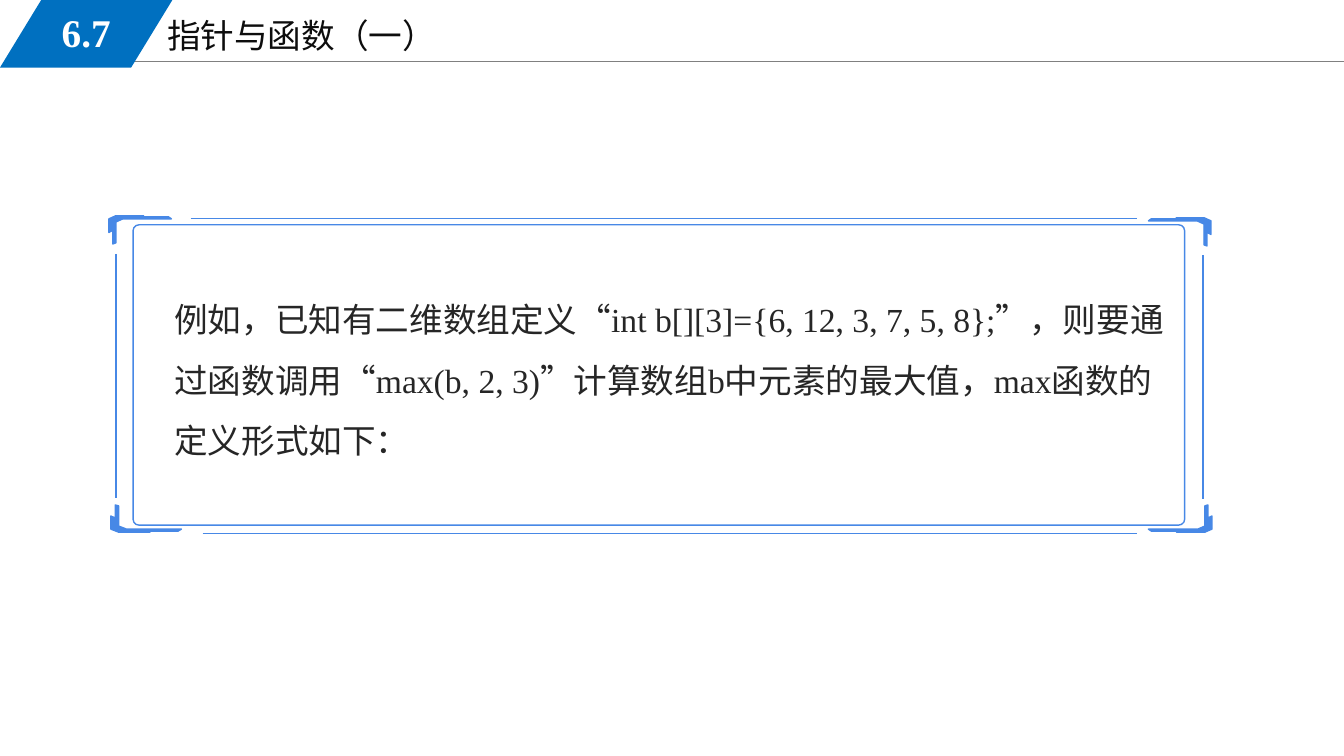
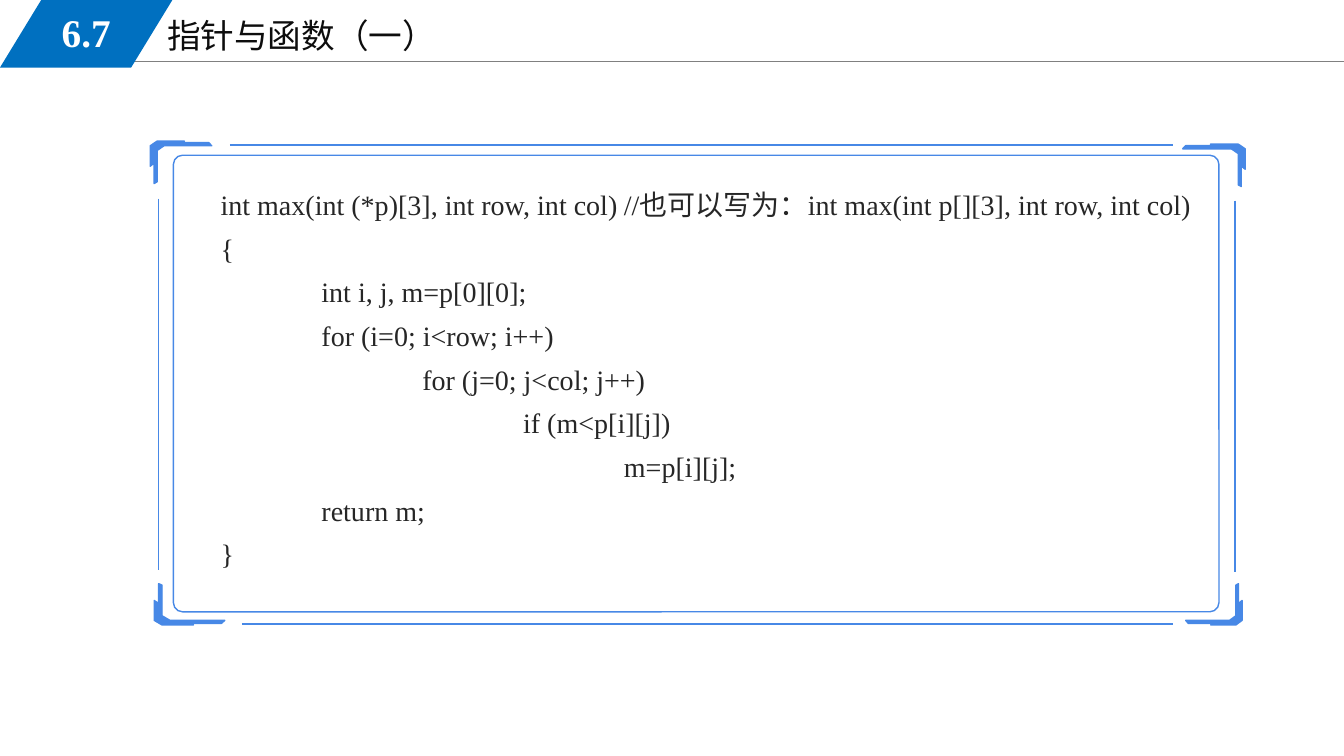
from lxml import etree
from pptx import Presentation
from pptx.dml.color import RGBColor
from pptx.enum import lang, shapes, text
from pptx.oxml.ns import qn
from pptx.util import Pt

PX = 9144  # 100 px to the inch
WHITE = RGBColor(0xFF, 0xFF, 0xFF)
GRAY = RGBColor(0x80, 0x80, 0x80)
NAVY = RGBColor(0x00, 0x70, 0xC0)
BLUE = RGBColor(0x47, 0x88, 0xE6)
BLACK = RGBColor(0x0D, 0x0D, 0x0D)
INK = RGBColor(0x26, 0x26, 0x26)
SERIF = "Times New Roman"
SANS = "Noto Sans CJK SC"

# Bottom right corner mark, on a 63 by 27 grid
CORNER = [(56, 27), (28, 27), (31, 26), (3, 26), (0, 24), (49, 24), (56, 21),
          (56, 1), (59, 0), (59, 13), (63, 11), (63, 24)]

# box: left, top, width, height; corners add flip x and flip y; lines: x1, y1, x2, y2
PAGES = [
    {
        "box": (163, 272, 1015, 192), "size": 24, "space": 1.5,
        "text": [[("例如，已知有二维数组定义“int b[][3]={6, 12, 3, 7, 5, 8};", SERIF),
                  ("”，则要通过函数调用", SANS),
                  ("“max(b, 2, 3)", SERIF),
                  ("”计算", SANS),
                  ("数组b中元素的最大值，max函数的定义形式如下：", SERIF)]],
        "frame": (132, 223, 1043, 298),
        "corners": [(1139, 501, 63, 27, False, False), (1139, 216, 62, 28, False, True),
                    (108, 214, 62, 28, True, True), (110, 501, 70, 27, True, False)],
        "lines": [(189, 217, 1128, 217), (201, 529, 1128, 529),
                  (115, 252, 115, 494), (1193, 253, 1193, 495)],
    },
    {
        "box": (209, 171, 1026, 449), "size": 20, "space": 1.3,
        "text": [[(line, SERIF)] for line in (
            "int max(int (*p)[3], int row, int col)\t//也可以写为：int max(int p[][3], int row, int col)",
            "{",
            "\tint i, j, m=p[0][0];",
            "\tfor (i=0; i<row; i++)",
            "\t\tfor (j=0; j<col; j++)",
            "\t\t\tif (m<p[i][j])",
            "\t\t\t\tm=p[i][j];",
            "\treturn m;",
            "}")],
        "frame": (172, 154, 1037, 453),
        "corners": [(1176, 579, 56, 41, False, False), (1173, 143, 62, 42, False, True),
                    (149, 140, 61, 42, True, True), (153, 579, 70, 41, True, False)],
        "lines": [(228, 144, 1163, 144), (240, 619, 1163, 619),
                  (157, 197, 157, 565), (1225, 199, 1225, 567)],
    },
]


def write(slide, box, paras, size, color):
    """Add a text box; each paragraph is a list of (text, font) runs."""
    frame = slide.shapes.add_textbox(*[n * PX for n in box]).text_frame
    frame.word_wrap = True
    for i, parts in enumerate(paras):
        para = frame.paragraphs[0] if i == 0 else frame.add_paragraph()
        para._p.get_or_add_pPr().set("defTabSz", str(100 * PX))
        for words, face in parts:
            run = para.add_run()
            run.text = words
            font = run.font
            font.name, font.size, font.color.rgb = face, Pt(size), color
            font.language_id = lang.MSO_LANGUAGE_ID.SIMPLIFIED_CHINESE
            east = etree.SubElement(font._element, qn("a:ea"))
            east.set("typeface", SANS)
    return frame


def rule(slide, ends, color, width):
    """Add a straight line without a shadow."""
    line = slide.shapes.add_connector(shapes.MSO_CONNECTOR.STRAIGHT, *[n * PX for n in ends])
    line.line.color.rgb, line.line.width = color, Pt(width)
    etree.SubElement(line._element.spPr, qn("a:effectLst"))


deck = Presentation()
deck.slide_width, deck.slide_height = 1333 * PX, 750 * PX

for page in PAGES:
    slide = deck.slides.add_slide(deck.slide_layouts[6])

    # Header
    rule(slide, (113, 61, 1333, 61), GRAY, 0.75)
    write(slide, (156, 10, 567, 172), [[("指针与函数（一）", SERIF)]], 24, BLACK)
    tab = slide.shapes.add_shape(shapes.MSO_SHAPE.PARALLELOGRAM, 0, 0, 171 * PX, 67 * PX)
    tab.adjustments[0] = 0.61
    tab.shadow.inherit = False
    tab.fill.solid()
    tab.fill.fore_color.rgb = NAVY
    tab.line.fill.background()
    mark = write(slide, (25, 3, 121, 58), [[("6.7", SERIF)]], 28, WHITE)
    mark.vertical_anchor = text.MSO_ANCHOR.MIDDLE
    mark.paragraphs[0].alignment = text.PP_ALIGN.CENTER
    mark.paragraphs[0].runs[0].font.bold = True

    # Body
    body = write(slide, page["box"], page["text"], page["size"], INK)
    for para in body.paragraphs:
        para.line_spacing = page["space"]

    # Border
    frame = slide.shapes.add_shape(shapes.MSO_SHAPE.ROUNDED_RECTANGLE,
                                   *[n * PX for n in page["frame"]])
    frame.adjustments[0] = 0.02
    frame.fill.background()
    edges = [frame]
    for left, top, wide, high, flip_x, flip_y in page["corners"]:
        dots = [((left + wide * (63 - x if flip_x else x) / 63) * PX,
                 (top + high * (27 - y if flip_y else y) / 27) * PX) for x, y in CORNER]
        pen = slide.shapes.build_freeform(*dots[0])
        pen.add_line_segments(dots[1:], close=True)
        corner = pen.convert_to_shape()
        corner.fill.solid()
        corner.fill.fore_color.rgb = BLUE
        edges.append(corner)
    for edge in edges:
        edge.shadow.inherit = False
        edge.line.color.rgb, edge.line.width = BLUE, Pt(1)
    for ends in page["lines"]:
        rule(slide, ends, BLUE, 1)

deck.save("out.pptx")
